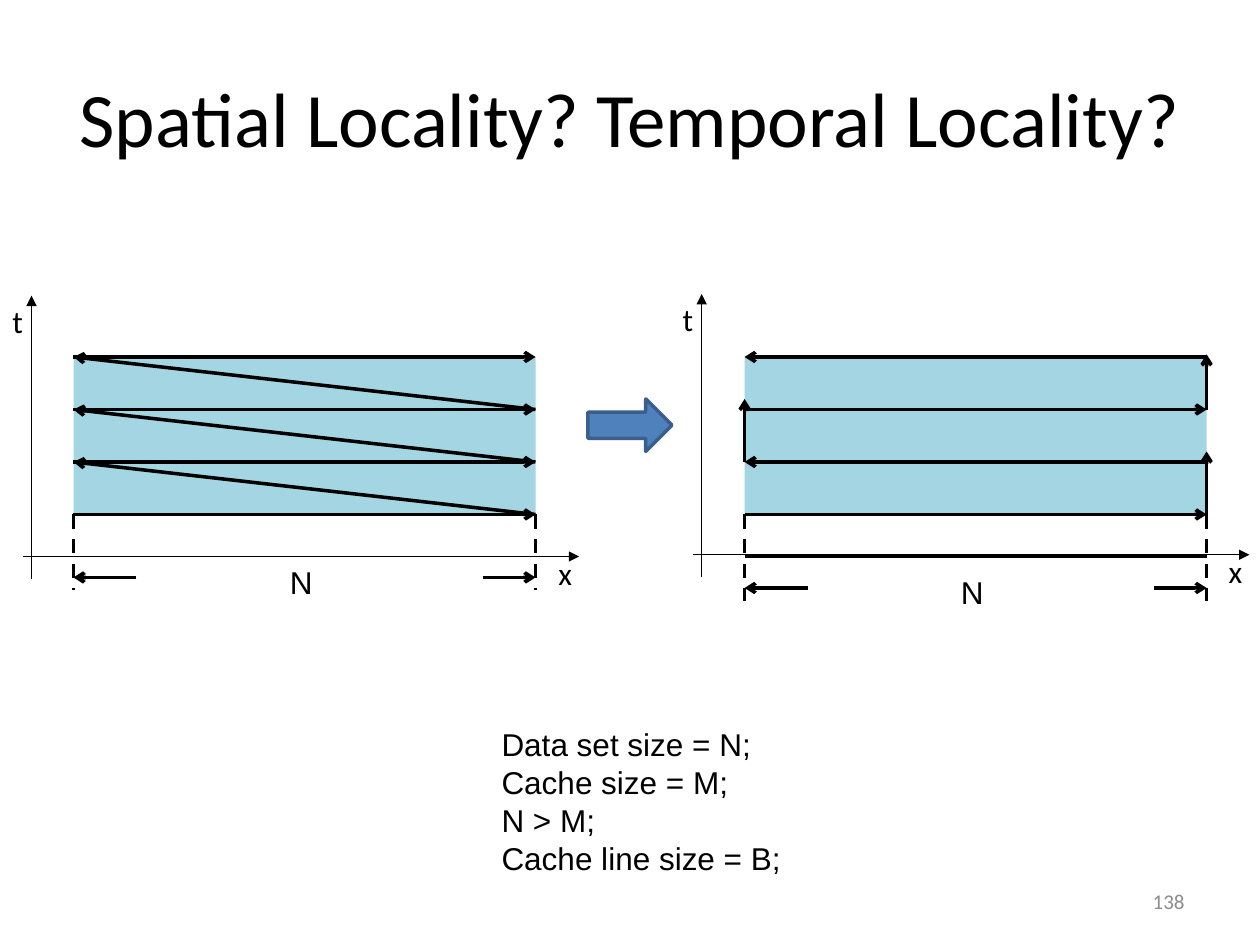
"""Build the slide comparing two loop orders by spatial and temporal locality."""
from lxml.etree import SubElement
from pptx import Presentation
from pptx.dml.color import RGBColor
from pptx.enum.dml import MSO_LINE
from pptx.enum.shapes import MSO_CONNECTOR, MSO_SHAPE
from pptx.enum.text import MSO_ANCHOR, PP_ALIGN
from pptx.oxml.ns import qn
from pptx.util import Pt

BLACK = RGBColor(0x00, 0x00, 0x00)
GREY = RGBColor(0x8C, 0x8C, 0x8C)
TEAL = RGBColor(0x4B, 0xAC, 0xC6)
BLUE = RGBColor(0x4F, 0x81, 0xBD)
NAVY = RGBColor(0x3A, 0x5F, 0x8C)


def add_line(start, end, width=2, head=None, dash=None):
    ln = s.shapes.add_connector(MSO_CONNECTOR.STRAIGHT, *map(Pt, start + end))
    ln.line.color.rgb = BLACK
    ln.line.width = Pt(width)
    if dash:
        ln.line.dash_style = dash
    if head:
        SubElement(ln.line._ln, qn("a:tailEnd"), type=head)
    SubElement(ln._element.spPr, qn("a:effectLst"))


def write(sp, lines, font, color=BLACK, align=PP_ALIGN.LEFT, **frame):
    tf = sp.text_frame
    tf.text = "\n".join(lines)
    for name, value in frame.items():
        setattr(tf, name, value)
    for p in tf.paragraphs:
        p.alignment = align
        for name, value in font.items():
            setattr(p.font, name, value)
        p.font.color.rgb = color


prs = Presentation()
prs.slide_width, prs.slide_height = Pt(720), Pt(540)
s = prs.slides.add_slide(prs.slide_layouts[5])

title = s.shapes.title
box = {"left": 36, "top": 21.6, "width": 648, "height": 90}
for name, value in box.items():
    setattr(title, name, Pt(value))
write(title, ["Spatial Locality? Temporal Locality?"], {"size": Pt(44), "name": "Calibri"},
      align=PP_ALIGN.CENTER, vertical_anchor=MSO_ANCHOR.MIDDLE)

number = s.shapes.add_textbox(Pt(516), Pt(500.5), Pt(168), Pt(28.75))
write(number, ["138"], {"size": Pt(12), "name": "Calibri"}, GREY, PP_ALIGN.RIGHT,
      vertical_anchor=MSO_ANCHOR.MIDDLE, word_wrap=True)

axis_font = {"size": Pt(18), "name": "Calibri"}
body_font = {"size": Pt(18), "name": "Arial"}
rows = [294, 264, 234, 204]
span = 264

panels = [(42, 18, 318, 337, 330), (425.5, 401, 317, 343.5, 336)]
for x0, axis_x, axis_y, dash_end, size_y in panels:
    x1 = x0 + span
    area = s.shapes.build_freeform(Pt(x0), Pt(rows[-1]), scale=1.0)
    corners = [(x1, rows[-1]), (x1, rows[0]), (x0, rows[0])]
    area.add_line_segments([(Pt(x), Pt(y)) for x, y in corners], close=True)
    sp = area.convert_to_shape()
    sp.shadow.inherit = False
    sp.fill.solid()
    sp.fill.fore_color.rgb = TEAL
    sp.line.fill.background()
    SubElement(sp._element.spPr.find(".//" + qn("a:srgbClr")), qn("a:alpha"), val="50000")

    add_line((axis_x - 5, axis_y), (axis_x + 313, axis_y), 0.75, "triangle")
    add_line((axis_x, axis_y + 13), (axis_x, axis_y - 149), 0.75, "triangle")
    for x in (x0, x1):
        add_line((x, rows[0]), (x, dash_end), dash=MSO_LINE.DASH)
    add_line((x0 + 36, size_y), (x0, size_y), head="arrow")
    add_line((x1 - 30, size_y), (x1, size_y), head="arrow")

    labels = [("t", axis_x - 18, axis_y - 149, 21.5, axis_font),
              ("x", axis_x + 294, axis_y - 5, 25, axis_font),
              ("N", x0 + 116.5, size_y - 12, 27.5, body_font)]
    for text, x, y, width, font in labels:
        label = s.shapes.add_textbox(Pt(x), Pt(y), Pt(width), Pt(29))
        write(label, [text], font, word_wrap=False)

left, right = panels[0][0], panels[0][0] + span
for y in rows:
    add_line((left, y), (right, y), head="arrow")
for y, above in zip(rows, rows[1:]):
    add_line((right, y), (left, above), head="arrow")

left, right = panels[1][0], panels[1][0] + span
add_line((left, 318), (right, 318))
for i, y in enumerate(rows):
    start, end = (left, right) if i % 2 == 0 else (right, left)
    add_line((start, y), (end, y), head="arrow")
    if i < len(rows) - 1:
        tip = max(y - 36, 202.5)
        add_line((end, y), (end, tip), head="arrow")

arrow = s.shapes.add_shape(MSO_SHAPE.RIGHT_ARROW, Pt(336), Pt(228), Pt(48), Pt(30))
arrow.shadow.inherit = False
arrow.fill.solid()
arrow.fill.fore_color.rgb = BLUE
arrow.line.color.rgb = NAVY
arrow.line.width = Pt(2)

sizes = s.shapes.add_textbox(Pt(279.5), Pt(411), Pt(175.5), Pt(94.5))
write(sizes, ["Data set size = N;", "Cache size = M;", "N > M;", "Cache line size = B;"],
      body_font, word_wrap=False)

prs.save("out.pptx")
